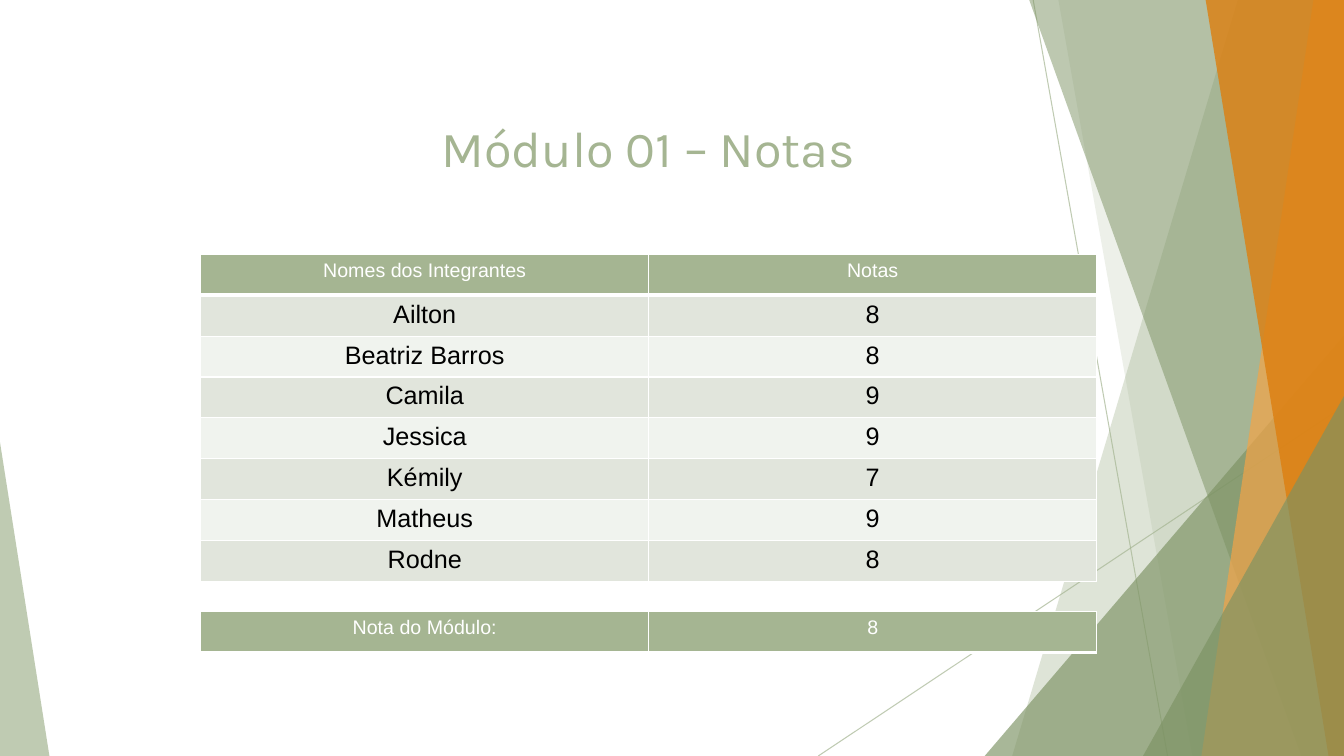
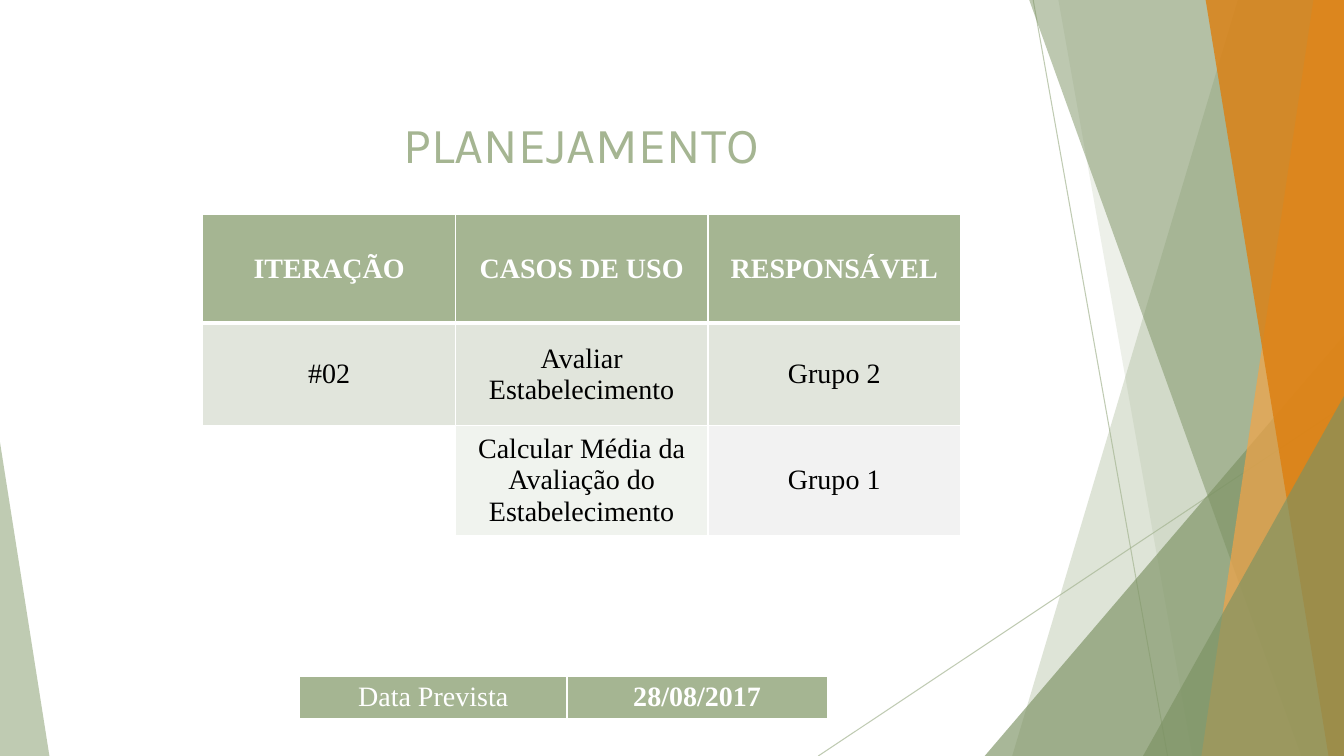
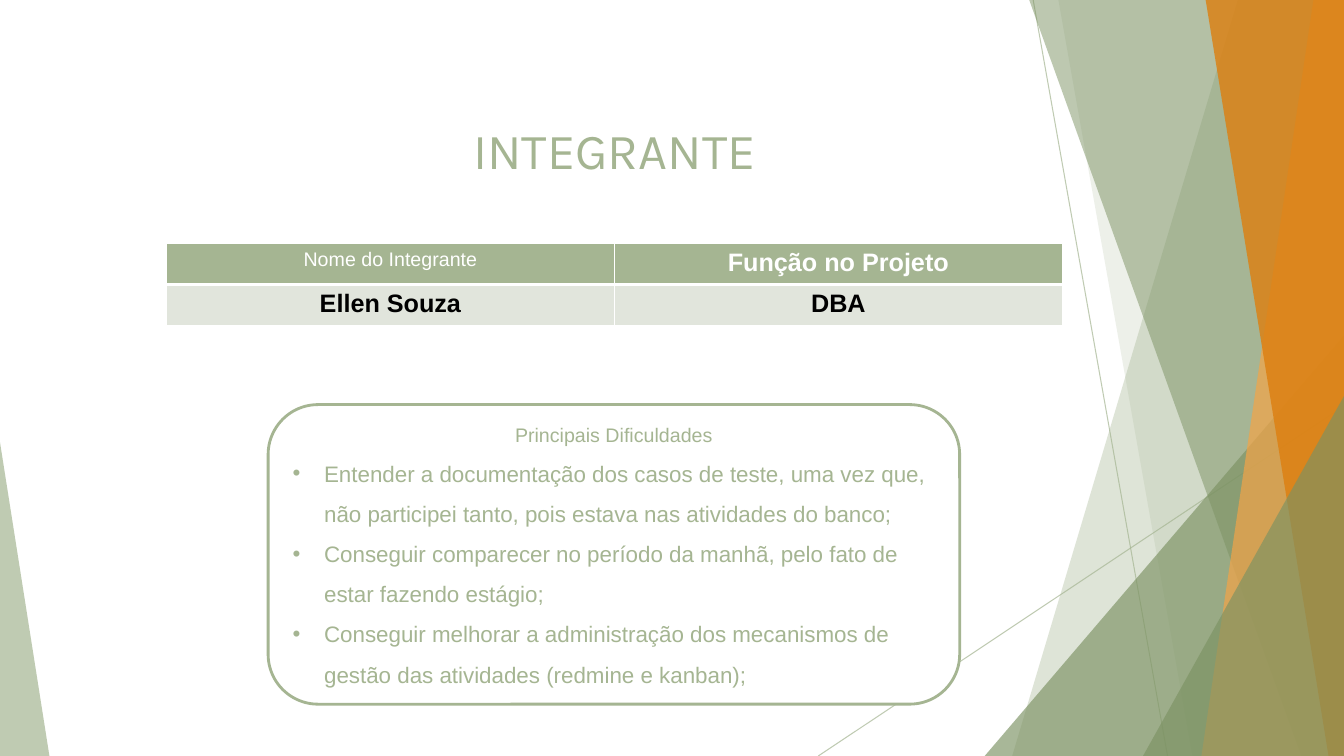
from collections import namedtuple
from dataclasses import dataclass

from pptx import Presentation
from pptx.dml.color import RGBColor
from pptx.enum.shapes import MSO_CONNECTOR, MSO_SHAPE
from pptx.enum.text import MSO_ANCHOR, MSO_AUTO_SIZE, PP_ALIGN
from pptx.oxml import parse_xml
from pptx.oxml.ns import nsdecls, qn
from pptx.util import Pt


@dataclass(frozen=True)
class Theme:
    sage: RGBColor = RGBColor.from_string("A5B592")
    moss: RGBColor = RGBColor.from_string("7C9263")
    amber: RGBColor = RGBColor.from_string("F3A447")
    rust: RGBColor = RGBColor.from_string("DD7E0E")
    odd: RGBColor = RGBColor.from_string("E1E5DC")
    even: RGBColor = RGBColor.from_string("F0F3EE")
    gray: RGBColor = RGBColor.from_string("F2F2F2")
    white: RGBColor = RGBColor.from_string("FFFFFF")
    black: RGBColor = RGBColor.from_string("000000")
    display: str = "Karla"
    sans: str = "Arial"
    serif: str = "Times New Roman"
    title: int = 36
    large: int = 20
    body: int = 18
    item: int = 16
    small: int = 14


theme = Theme()
WIDE, HIGH = 960, 540
Cell = namedtuple("Cell", "text size bold", defaults=(theme.body, False))


def fade(shape, percent):
    """Make the only RGB colour of a shape or line partly transparent."""
    color = shape._element.spPr.find(".//" + qn("a:srgbClr"))
    color.append(parse_xml(f'<a:alpha {nsdecls("a")} val="{percent * 1000}"/>'))


def add_grid(slide, left, top, widths, heights, rows, font, anchor=MSO_ANCHOR.TOP):
    """Add a table with a green first row and banded rows below it."""
    frame = slide.shapes.add_table(len(rows), len(widths), Pt(left), Pt(top),
                                   Pt(sum(widths)), Pt(sum(heights)))
    table = frame.table
    table.first_row = table.horz_banding = False
    for col, width in zip(table.columns, widths):
        col.width = Pt(width)
    for r, (row, height) in enumerate(zip(rows, heights)):
        table.rows[r].height = Pt(height)
        for c, item in enumerate(row):
            cell = table.cell(r, c)
            cell.vertical_anchor = anchor
            cell.fill.solid()
            band = theme.odd if r % 2 else theme.even
            cell.fill.fore_color.rgb = theme.sage if r == 0 else band if item.text else theme.white
            for n, side in enumerate("LRTB"):
                weight = 3 if r == 0 and side == "B" else 1
                cell._tc.get_or_add_tcPr().insert(n, parse_xml(
                    f'<a:ln{side} {nsdecls("a")} w="{Pt(weight)}"><a:solidFill>'
                    f'<a:srgbClr val="{theme.white}"/></a:solidFill></a:ln{side}>'))
            if item.text:
                para = cell.text_frame.paragraphs[0]
                para.alignment = PP_ALIGN.CENTER
                run = para.add_run()
                run.text = item.text
                run.font.name, run.font.size, run.font.bold = font, Pt(item.size), item.bold
                run.font.color.rgb = theme.black if r else theme.white
    return table


deck = Presentation()
deck.slide_width, deck.slide_height = Pt(WIDE), Pt(HIGH)

# Slides and titles
LIST, PLAIN = deck.slide_layouts[1], deck.slide_layouts[5]
slides = []
for text, left, top, layout in [
    ("Módulo 01 – Notas", 80.6, 80, PLAIN),
    ("PLANEJAMENTO", 32.4, 77, PLAIN),
    ("INTEGRANTE", 56.2, 81.4, LIST),
]:
    slide = deck.slides.add_slide(layout)
    title = slide.shapes.title
    title.left, title.top, title.width, title.height = Pt(left), Pt(top), Pt(765.4), Pt(51)
    title.text_frame.auto_size = MSO_AUTO_SIZE.NONE
    title.text_frame.vertical_anchor = MSO_ANCHOR.MIDDLE
    para = title.text_frame.paragraphs[0]
    para.alignment = PP_ALIGN.CENTER
    run = para.add_run()
    run.text = text
    run.font.name, run.font.size = theme.display, Pt(theme.title)
    run.font.color.rgb = theme.sage
    slides.append(slide)
grades, plan, member = slides

# Side decoration, moved to the master so that every slide shows it
decor = grades.shapes.add_group_shape()
for x1, y1, x2, y2 in [(738, 0, 834, HIGH), (WIDE, 290, 584.5, HIGH)]:
    line = decor.shapes.add_connector(MSO_CONNECTOR.STRAIGHT, Pt(x1), Pt(y1), Pt(x2), Pt(y2))
    line.line.color.rgb = theme.sage
    line.line.width = Pt(0.75)
    fade(line, 70)
    line._element.spPr.append(parse_xml(f'<a:effectLst {nsdecls("a")}/>'))

# A band is (top x, bottom x) up to the right edge;
# a triangle is (left, top, width, apex) down to the bottom edge.
for form, color, percent in [
    ((884.2, 723), theme.sage, 36),
    ((756, 851.8), theme.sage, 20),
    ((703.4, 239.8, 256.6, 1), theme.moss, 66),
    ((735.2, 929.5), theme.moss, 50),
    ((938.2, 858.2), theme.amber, 70),
    ((861.2, 949), theme.rust, 80),
    ((816.5, 283, 143.5, 1), theme.moss, 66),
    ((0, 316, 35.3, 0), theme.sage, 70),
]:
    if len(form) == 2:
        upper, lower = form
        pen = decor.shapes.build_freeform(Pt(upper), 0)
        pen.add_line_segments([(Pt(WIDE), 0), (Pt(WIDE), Pt(HIGH)), (Pt(lower), Pt(HIGH))])
        shape = pen.convert_to_shape()
    else:
        left, top, width, apex = form
        shape = decor.shapes.add_shape(MSO_SHAPE.ISOSCELES_TRIANGLE, Pt(left), Pt(top),
                                       Pt(width), Pt(HIGH - top))
        shape.adjustments[0] = apex
    shape.shadow.inherit = False
    shape.fill.solid()
    shape.fill.fore_color.rgb = color
    shape.line.fill.background()
    fade(shape, percent)
deck.slide_master.shapes._spTree.insert(2, decor._element)

# Grades
HALVES, ROW = [320, 320], 29.2
marks = [("Ailton", "8"), ("Beatriz Barros", "8"), ("Camila", "9"), ("Jessica", "9"),
         ("Kémily", "7"), ("Matheus", "9"), ("Rodne", "8")]
head = [Cell("Nomes dos Integrantes", theme.small), Cell("Notas", theme.small)]
rows = [head] + [[Cell(name), Cell(mark)] for name, mark in marks]
add_grid(grades, 143.4, 181.7, HALVES, [ROW] * len(rows), rows, theme.sans)
total = [Cell("Nota do Módulo:", theme.small), Cell("8", theme.small)]
add_grid(grades, 143.4, 436.8, HALVES, [ROW], [total], theme.sans)

# Plan
texts = [
    ["ITERAÇÃO", "CASOS DE USO", "RESPONSÁVEL"],
    ["#02", "Avaliar Estabelecimento", "Grupo 2"],
    ["", "Calcular Média da Avaliação do Estabelecimento", "Grupo 1"],
] + [[""] * 3] * 4
rows = [[Cell(text, theme.large, r == 0) for text in row] for r, row in enumerate(texts)]
table = add_grid(plan, 144.9, 153.4, [180.4] * 3, [77.5, 72.8, 41, 38, 24.5, 16, 41],
                 rows, theme.serif, MSO_ANCHOR.MIDDLE)
table.cell(2, 2).fill.fore_color.rgb = theme.gray
for col, first, last in [(1, 2, 3), (2, 2, 3), (0, 3, 4), (1, 4, 5), (2, 4, 6), (0, 5, 6)]:
    table.cell(first, col).merge(table.cell(last, col))
due = [Cell("Data Prevista", theme.large), Cell("28/08/2017", theme.large, True)]
add_grid(plan, 214, 483.4, [191, 186], [30.5], [due], theme.serif)

# Member
rows = [
    [Cell("Nome do Integrante", theme.small), Cell("Função no Projeto", bold=True)],
    [Cell("Ellen Souza", bold=True), Cell("DBA", bold=True)],
]
add_grid(member, 118.9, 174, HALVES, [ROW] * 2, rows, theme.sans)

panel = member.shapes.add_shape(MSO_SHAPE.ROUNDED_RECTANGLE, Pt(191.5), Pt(289),
                                Pt(494), Pt(214))
panel.shadow.inherit = False
panel.fill.solid()
panel.fill.fore_color.rgb = theme.white
panel.line.color.rgb = theme.sage
panel.line.width = Pt(2)
member.shapes._spTree.insert(2, panel._element)

body = member.placeholders[1]
body.left, body.top, body.width, body.height = Pt(209), Pt(290.3), Pt(459), Pt(201)
frame = body.text_frame
frame.auto_size = MSO_AUTO_SIZE.NONE
frame.vertical_anchor = MSO_ANCHOR.TOP
frame.margin_left = frame.margin_right = frame.margin_top = frame.margin_bottom = 0
for n, text in enumerate([
    "Principais Dificuldades",
    "Entender a documentação dos casos de teste, uma vez que, não participei tanto, "
    "pois estava nas atividades do banco;",
    "Conseguir comparecer no período da manhã, pelo fato de estar fazendo estágio;",
    "Conseguir melhorar a administração dos mecanismos de gestão das atividades "
    "(redmine e kanban);",
]):
    para = frame.add_paragraph() if n else frame.paragraphs[0]
    props = para._p.get_or_add_pPr()
    indent = Pt(22.5) if n else 0
    props.set("marL", str(indent))
    props.set("indent", str(-indent))
    bullet = 'buChar {} char="•"' if n else "buNone {}"
    props.append(parse_xml(f'<a:{bullet.format(nsdecls("a"))}/>'))
    para.alignment = PP_ALIGN.LEFT if n else PP_ALIGN.CENTER
    para.space_before = Pt(0)
    para.line_spacing = Pt(28.7)
    run = para.add_run()
    run.text = text
    run.font.name = theme.sans
    run.font.size = Pt(theme.item if n else theme.small)
    run.font.color.rgb = theme.sage

deck.save("out.pptx")
